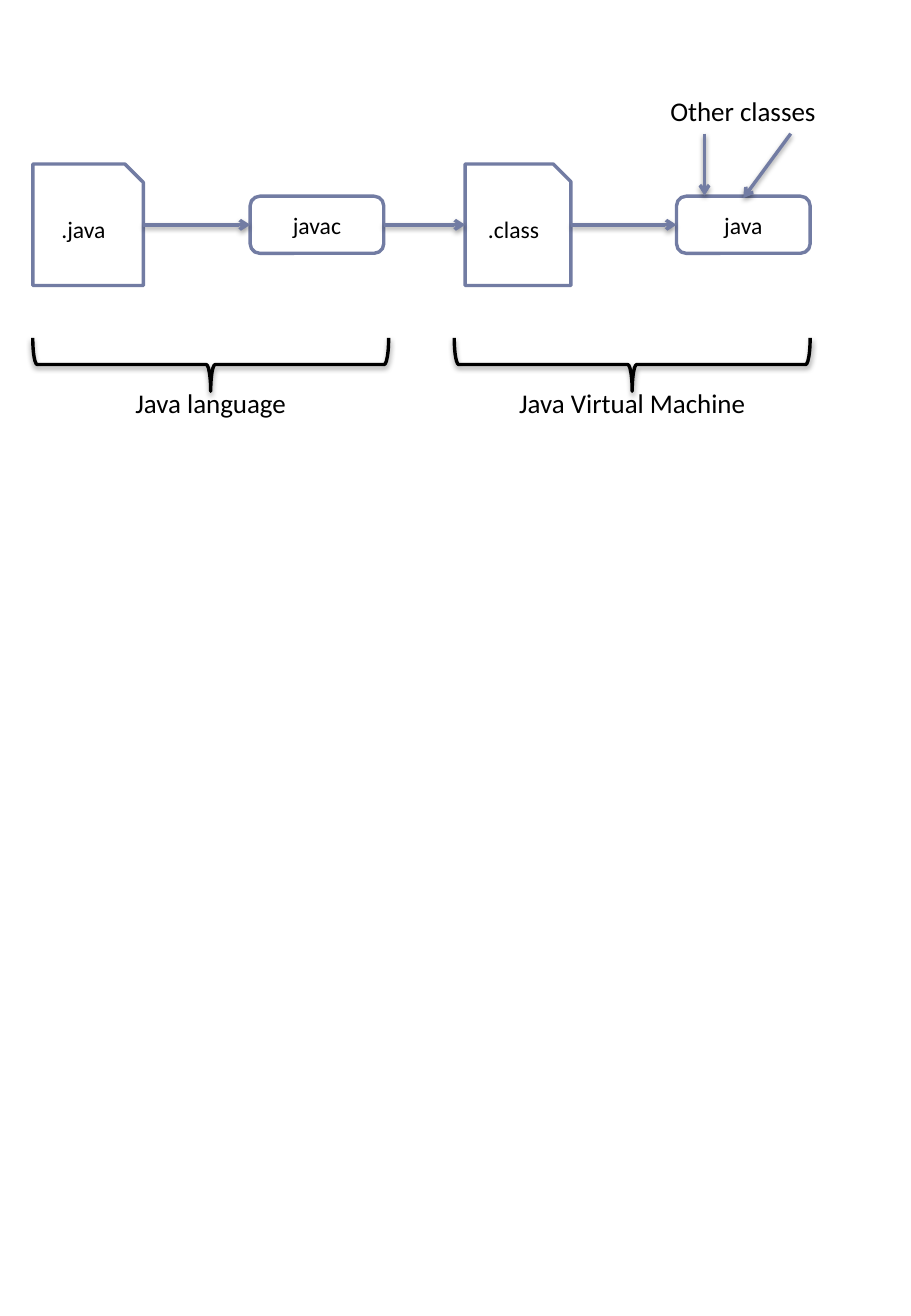
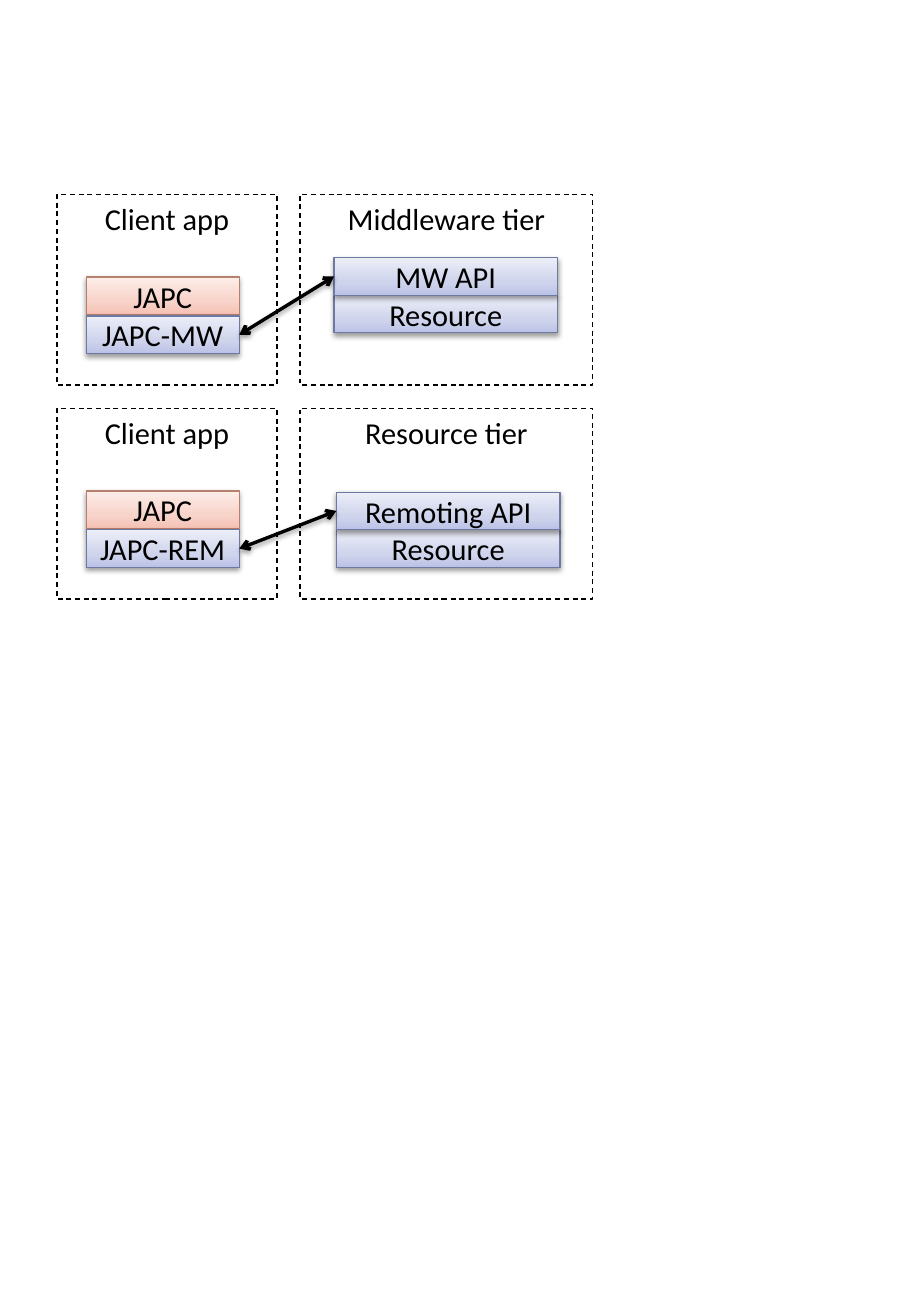
"""Build two diagram slides: Java compilation and JAPC tiers."""
from dataclasses import dataclass
from itertools import pairwise

from lxml import etree
from pptx import Presentation
from pptx.dml.color import RGBColor
from pptx.enum.dml import MSO_LINE
from pptx.enum.shapes import MSO_CONNECTOR, MSO_SHAPE
from pptx.enum.text import MSO_ANCHOR, MSO_AUTO_SIZE, PP_ALIGN
from pptx.oxml.ns import qn
from pptx.shapes.autoshape import Shape
from pptx.slide import Slide
from pptx.util import Inches, Pt

FONT = "Calibri"
BLACK = RGBColor(0x00, 0x00, 0x00)
WHITE = RGBColor(0xFF, 0xFF, 0xFF)
SLATE = RGBColor(0x72, 0x7C, 0xA3)

DASH = MSO_LINE.DASH
STRAIGHT = MSO_CONNECTOR.STRAIGHT
RECTANGLE = MSO_SHAPE.RECTANGLE
DOCUMENT = MSO_SHAPE.SNIP_1_RECTANGLE
TOOL = MSO_SHAPE.ROUNDED_RECTANGLE
BRACE = MSO_SHAPE.LEFT_BRACE
LEFT, CENTER = PP_ALIGN.LEFT, PP_ALIGN.CENTER
MIDDLE = MSO_ANCHOR.MIDDLE
GROW = MSO_AUTO_SIZE.SHAPE_TO_FIT_TEXT

FLOW_Y = 1.85
BRACE_WIDTH, BRACE_DEPTH, BRACE_Y = 2.93, 0.44, 3.0
CLIENT_LEFT, CLIENT_WIDTH = 0.47, 1.81
SERVER_LEFT, SERVER_WIDTH = 2.47, 2.41
TIER_HEIGHT = 1.57
LAYER_LEFT, LAYER_WIDTH, LAYER_HEIGHT = 0.71, 1.26, 0.31
API_WIDTH = 1.84


@dataclass(frozen=True)
class Palette:
    """Gradient colours from bottom to top, and the outline."""
    stops: tuple[RGBColor, RGBColor, RGBColor]
    outline: RGBColor


@dataclass(frozen=True)
class Stage:
    """One step of the compilation flow."""
    kind: MSO_SHAPE
    text: str
    left: float
    width: float
    height: float


@dataclass(frozen=True)
class TierRow:
    """A client and the server tier it talks to."""
    top: float
    client_layer: str
    server_title: str
    api: str
    api_left: float
    api_top: float


CORAL = Palette((RGBColor(0xF5, 0xC1, 0xB3), RGBColor(0xF7, 0xD3, 0xC9),
                 RGBColor(0xFD, 0xED, 0xE9)), RGBColor(0xB6, 0x80, 0x6E))
LAVENDER = Palette((RGBColor(0xBB, 0xC2, 0xE6), RGBColor(0xCF, 0xD4, 0xEC),
                    RGBColor(0xEC, 0xEE, 0xF8)), RGBColor(0x6E, 0x79, 0xA1))

STAGES = (
    Stage(DOCUMENT, ".java", 0.27, 0.91, 1.0),
    Stage(TOOL, "javac", 2.06, 1.1, 0.47),
    Stage(DOCUMENT, ".class", 3.83, 0.87, 1.0),
    Stage(TOOL, "java", 5.57, 1.1, 0.47),
)
PHASES = ((0.27, "Java language"), (3.74, "Java Virtual Machine"))
CLASS_ARROWS = (((5.8, 1.1), (5.8, 1.61)), ((6.51, 1.1), (6.12, 1.63)))
TIER_ROWS = (
    TierRow(1.6, "JAPC-MW", "Middleware tier", "MW API", 2.75, 2.12),
    TierRow(3.36, "JAPC-REM", "Resource tier", "Remoting API", 2.77, 4.05),
)


def add_child(parent: etree._Element, tag: str, **attributes: str) -> etree._Element:
    """Append a drawing element."""
    return etree.SubElement(parent, qn(tag), attributes)


def cast_shadow(effects: etree._Element) -> None:
    """Add a soft shadow that falls straight down."""
    shadow = add_child(effects, "a:outerShdw", blurRad=str(Pt(3.1)), dist=str(Pt(1.6)),
                       dir="5400000", rotWithShape="0")
    color = add_child(shadow, "a:srgbClr", val=str(BLACK))
    add_child(color, "a:alpha", val="38000")


def write(box: Shape, text: str, size: float, align: PP_ALIGN) -> None:
    """Put one styled run into a box."""
    box.text_frame.word_wrap = True
    para = box.text_frame.paragraphs[0]
    para.alignment = align
    span = para.add_run()
    span.text = text
    span.font.name, span.font.size = FONT, Pt(size)
    span.font.color.rgb = BLACK


def add_box(page: Slide, kind: MSO_SHAPE, left: float, top: float, width: float,
            height: float, outline: RGBColor, weight: float, shadow: bool = False) -> Shape:
    """Draw an unfilled outlined shape."""
    box = page.shapes.add_shape(kind, Inches(left), Inches(top), Inches(width), Inches(height))
    box.fill.background()
    box.line.color.rgb, box.line.width = outline, Pt(weight)
    box.shadow.inherit = False
    if shadow:
        cast_shadow(box._element.spPr.find(qn("a:effectLst")))
    return box


def add_label(page: Slide, text: str, left: float, top: float, width: float,
              height: float, size: float, align: PP_ALIGN = CENTER) -> None:
    """Draw a text box."""
    box = page.shapes.add_textbox(Inches(left), Inches(top), Inches(width), Inches(height))
    write(box, text, size, align)
    box.text_frame.auto_size = GROW


def add_arrow(page: Slide, start: tuple[float, float], end: tuple[float, float],
              color: RGBColor, both_ways: bool = False) -> None:
    """Draw a shadowed arrow."""
    arrow = page.shapes.add_connector(STRAIGHT, *map(Inches, start + end))
    arrow.line.color.rgb, arrow.line.width = color, Pt(2)
    properties = arrow._element.spPr
    line = properties.find(qn("a:ln"))
    if both_ways:
        add_child(line, "a:headEnd", type="arrow")
    add_child(line, "a:tailEnd", type="arrow")
    cast_shadow(add_child(properties, "a:effectLst"))


def add_stage(page: Slide, stage: Stage) -> None:
    """Draw a flow step centred on the flow line."""
    box = add_box(page, stage.kind, stage.left, FLOW_Y - stage.height / 2,
                  stage.width, stage.height, SLATE, 2)
    box.fill.solid()
    box.fill.fore_color.rgb = WHITE
    box.text_frame.vertical_anchor = MIDDLE
    write(box, stage.text, 14, CENTER)


def add_phase(page: Slide, left: float, text: str) -> None:
    """Draw a brace opening upwards with its caption."""
    brace = add_box(page, BRACE, left + (BRACE_WIDTH - BRACE_DEPTH) / 2,
                    BRACE_Y - BRACE_WIDTH / 2, BRACE_DEPTH, BRACE_WIDTH, BLACK, 2, shadow=True)
    brace.rotation = 270
    add_label(page, text, left, 3.13, BRACE_WIDTH, 0.37, 16)


def add_layer(page: Slide, text: str, left: float, top: float, width: float,
              palette: Palette) -> None:
    """Draw a gradient software layer."""
    box = add_box(page, RECTANGLE, left, top, width, LAYER_HEIGHT,
                  palette.outline, 0.75, shadow=True)
    box.fill.gradient()
    box.fill.gradient_angle = 90
    stops = box._element.spPr.find(qn("a:gradFill")).find(qn("a:gsLst"))
    for stop in list(stops):
        stops.remove(stop)
    for position, color in zip((0, 35, 100), palette.stops):
        stop = add_child(stops, "a:gs", pos=str(position * 1000))
        add_child(stop, "a:srgbClr", val=str(color))
    box.text_frame.vertical_anchor = MIDDLE
    write(box, text, 18, CENTER)


def add_tier(page: Slide, title: str, left: float, top: float, width: float) -> None:
    """Draw a dashed frame with its title."""
    frame = add_box(page, RECTANGLE, left, top, width, TIER_HEIGHT, BLACK, 0.75)
    frame.line.dash_style = DASH
    add_label(page, title, left, top, width, 0.4, 18)


def add_tier_row(page: Slide, row: TierRow) -> None:
    """Draw a client, its server and the link between them."""
    add_tier(page, "Client app", CLIENT_LEFT, row.top, CLIENT_WIDTH)
    add_tier(page, row.server_title, SERVER_LEFT, row.top, SERVER_WIDTH)
    add_layer(page, "JAPC", LAYER_LEFT, row.top + 0.68, LAYER_WIDTH, CORAL)
    add_layer(page, row.client_layer, LAYER_LEFT, row.top + 1, LAYER_WIDTH, LAVENDER)
    add_layer(page, "Resource", row.api_left, row.api_top + LAYER_HEIGHT, API_WIDTH, LAVENDER)
    add_layer(page, row.api, row.api_left, row.api_top, API_WIDTH, LAVENDER)
    add_arrow(page, (LAYER_LEFT + LAYER_WIDTH, row.top + 1 + LAYER_HEIGHT / 2),
              (row.api_left, row.api_top + LAYER_HEIGHT / 2), BLACK, both_ways=True)


def build_compilation(page: Slide) -> None:
    """Draw the path from source file to virtual machine."""
    for stage in STAGES:
        add_stage(page, stage)
    for start, end in CLASS_ARROWS:
        add_arrow(page, start, end, SLATE)
    add_label(page, "Other classes", 5.42, 0.73, 1.48, 0.37, 16, LEFT)
    for left, text in PHASES:
        add_phase(page, left, text)
    for source, target in pairwise(STAGES):
        add_arrow(page, (source.left + source.width, FLOW_Y), (target.left, FLOW_Y), SLATE)


def build_tiers(page: Slide) -> None:
    """Draw the client and server tiers."""
    for row in TIER_ROWS:
        add_tier_row(page, row)


def main() -> None:
    """Build and save the deck."""
    deck = Presentation()
    deck.slide_width, deck.slide_height = Inches(7.5), Inches(10.83)
    for build in (build_compilation, build_tiers):
        build(deck.slides.add_slide(deck.slide_layouts[6]))
    deck.save("out.pptx")


if __name__ == "__main__":
    main()
